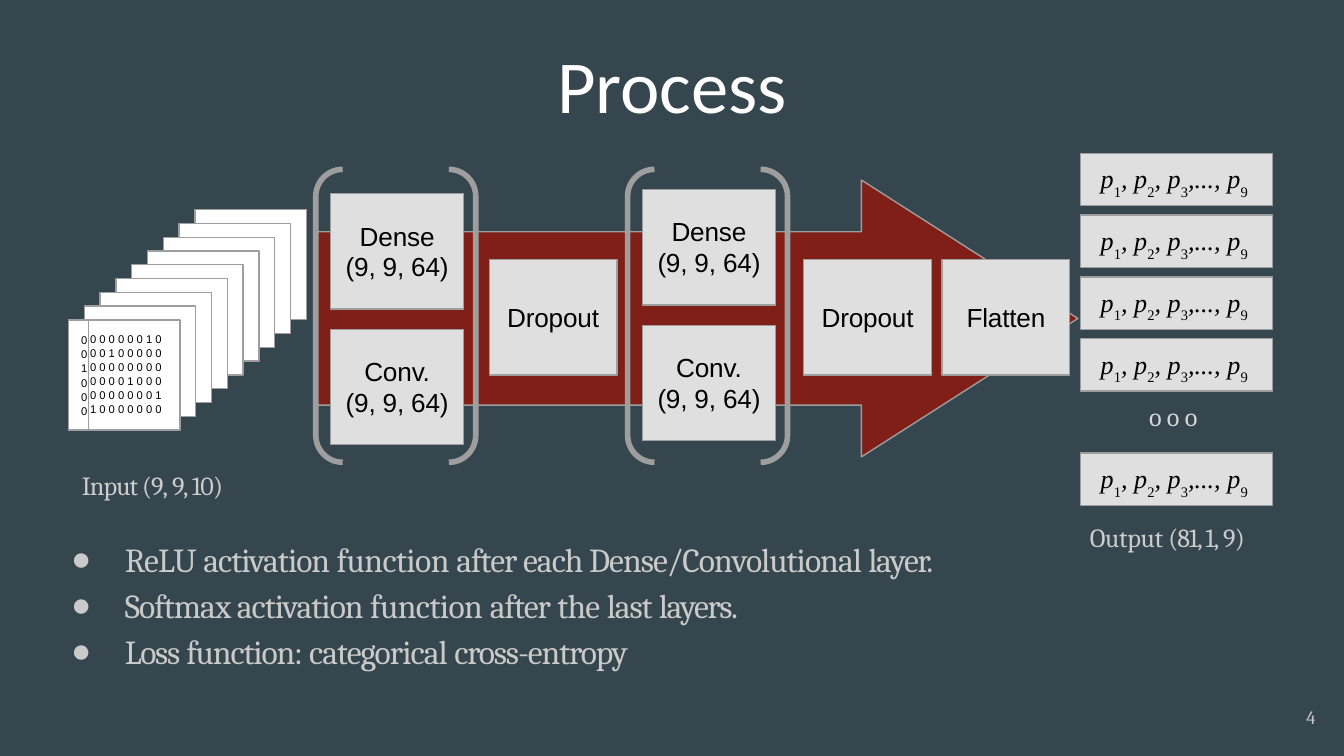
import pptx
import pptx.util
import pptx.dml.color
import pptx.enum.shapes
import pptx.enum.text
import lxml.etree
import pptx.oxml.ns

Inches = pptx.util.Inches
Pt = pptx.util.Pt
RGBColor = pptx.dml.color.RGBColor
Shape = pptx.enum.shapes.MSO_SHAPE
Anchor = pptx.enum.text.MSO_ANCHOR
Align = pptx.enum.text.PP_ALIGN

SLATE = RGBColor(0x36, 0x46, 0x4F)
DARK_RED = RGBColor(0x80, 0x1F, 0x17)
GREY = RGBColor(0x9E, 0x9E, 0x9E)
LIGHT_GREY = RGBColor(0xDF, 0xDF, 0xDF)
DOT_GREY = RGBColor(0xD8, 0xD8, 0xD8)
LABEL_GREY = RGBColor(0xCC, 0xCC, 0xCC)
BODY_GREY = RGBColor(0xCA, 0xCA, 0xCA)
WHITE = RGBColor(0xFF, 0xFF, 0xFF)
BLACK = RGBColor(0, 0, 0)

# A paragraph is a list of runs: (text, letter spacing in points).
BULLETS = [
    [("ReLU ", -0.4), ("activation ", -0.5), ("function ", -0.3),
     ("after each Dense/Convolutional ", -0.5), ("layer.", -0.7)],
    [("Softmax activation ", -0.5), ("function ", -0.3), ("after ", -0.5),
     ("the ", -0.4), ("last ", -0.6), ("layers.", -0.8)],
    [("Loss ", -0.7), ("function: ", -0.6), ("categorical ", -0.5),
     ("cross-entropy", -0.6)],
]
# Labels: runs, left, top, width, colour
LABELS = [
    ([("Input (9, ", -0.5), ("9, ", -0.8), ("10)", -0.5)], 0.61, 3.48, 1.24, LABEL_GREY),
    ([("Output ", -0.2), ("(81, 1, ", -0.6), ("9)", -0.3)], 8.11, 3.87, 1.36, LABEL_GREY),
    ([("o o o", -0.1)], 8.55, 2.97, 0.43, DOT_GREY),
]
FIRST_COLUMN = ["0", "0", "1", "0", "0", "0"]
MATRIX_ROWS = ["0 0 0 0 0 0 1 0", "0 0 1 0 0 0 0 0", "0 0 0 0 0 0 0 0",
               "0 0 0 0 1 0 0 0", "0 0 0 0 0 0 0 1", "1 0 0 0 0 0 0 0"]
# Text and whether it is a subscript
PROBABILITIES = [("p", False), ("1", True), (", p", False), ("2", True),
                 (", p", False), ("3", True), (",..., ", False), ("p", False),
                 ("9", True)]
LAYER_PAIR = [["Dense", "(9, 9, 64)"], ["Conv.", "(9, 9, 64)"]]
PAIR_ORIGINS = [(2.46, 1.44), (4.78, 1.41)]
SINGLE_LAYERS = [("Dropout", 3.64), ("Dropout", 5.98), ("Flatten", 7.01)]

SLIDE_WIDTH = Inches(10)
SLIDE_HEIGHT = SLIDE_WIDTH * 9 // 16
SHEET_COUNT = 9
SHEET_WIDTH, SHEET_HEIGHT = 0.83, 0.82
BACK_SHEET, FRONT_SHEET = (1.45, 1.56), (0.51, 2.38)
LAYER_HEIGHT, LAYER_PITCH = 0.86, 1.01
OUTPUT_TOPS = [1.14 + 0.46 * row for row in range(4)] + [3.37]


def add_shape(slide, kind, box, fill=None, line=GREY, line_width=0.75):
    shape = slide.shapes.add_shape(kind, *map(Inches, box))
    shape.shadow.inherit = False
    if fill is None:
        shape.fill.background()
    else:
        shape.fill.solid()
        shape.fill.fore_color.rgb = fill
    shape.line.color.rgb = line
    shape.line.width = Pt(line_width)
    return shape


def prepare_frame(shape, top=0.0, left=0.0, right=0.0, anchor=Anchor.TOP):
    frame = shape.text_frame
    frame.word_wrap = True
    frame.vertical_anchor = anchor
    frame.margin_left, frame.margin_top = Inches(left), Inches(top)
    frame.margin_right, frame.margin_bottom = Inches(right), 0
    return frame


def add_run(paragraph, text, font, size, color, spacing=0):
    run = paragraph.add_run()
    run.text = text
    run.font.name = font
    run.font.size = Pt(size)
    run.font.color.rgb = color
    if spacing:
        run._r.get_or_add_rPr().set("spc", str(round(spacing * 100)))
    return run


def write(frame, paragraphs, font, size, color, align=Align.LEFT, before=0, line=None):
    for index, runs in enumerate(paragraphs):
        paragraph = frame.paragraphs[0] if index == 0 else frame.add_paragraph()
        paragraph.alignment = align
        paragraph.space_before = Pt(before)
        if line:
            paragraph.line_spacing = Pt(line)
        for text, spacing in runs:
            add_run(paragraph, text, font, size, color, spacing)


def add_text(slide, box, paragraphs, font, size, color, top=0.01, **options):
    frame = prepare_frame(slide.shapes.add_textbox(*map(Inches, box)), top)
    write(frame, paragraphs, font, size, color, **options)
    return frame


def add_bullet(paragraph):
    properties = paragraph._p.get_or_add_pPr()
    properties.set("marL", str(Inches(0.41)))
    properties.set("indent", str(Inches(-0.4)))
    for tag, name, value in (("a:buFont", "typeface", "Arial"), ("a:buChar", "char", "●")):
        lxml.etree.SubElement(properties, pptx.oxml.ns.qn(tag)).set(name, value)


def add_layer(slide, lines, left, top, width):
    box = (left, top, width, LAYER_HEIGHT)
    layer = add_shape(slide, Shape.RECTANGLE, box, LIGHT_GREY)
    write(prepare_frame(layer, anchor=Anchor.MIDDLE), [[(line, -0.1)] for line in lines],
          "Arial", 14, BLACK, align=Align.CENTER, line=16.5)


def add_input_stack(slide):
    for index in range(SHEET_COUNT):
        share = index / (SHEET_COUNT - 1)
        left, top = (back + (front - back) * share
                     for back, front in zip(BACK_SHEET, FRONT_SHEET))
        add_shape(slide, Shape.RECTANGLE, (left, top, SHEET_WIDTH, SHEET_HEIGHT), WHITE)
    left, top = FRONT_SHEET
    column = add_shape(slide, Shape.RECTANGLE, (left, top, 0.15, SHEET_HEIGHT), WHITE)
    write(prepare_frame(column, top=0.1, right=0.01), [[(digit, 0)] for digit in FIRST_COLUMN],
          "Arial", 6, BLACK, align=Align.RIGHT, before=0.4)
    add_text(slide, (left + 0.16, top + 0.08, 0.58, 0.66),
             [[(row, 0)] for row in MATRIX_ROWS], "Arial", 6, BLACK, before=0.4)


def add_output(slide, top):
    output = add_shape(slide, Shape.RECTANGLE, (8.04, top, 1.43, 0.39), LIGHT_GREY)
    paragraph = prepare_frame(output, top=0.07, left=0.15).paragraphs[0]
    paragraph.alignment = Align.LEFT
    paragraph.space_before = Pt(5)
    for text, subscript in PROBABILITIES:
        run = add_run(paragraph, text, "Times New Roman", 13.5 if subscript else 14, BLACK)
        run.font.italic = not subscript
        if subscript:
            run._r.get_or_add_rPr().set("baseline", "-34000")


def main():
    presentation = pptx.Presentation()
    presentation.slide_width, presentation.slide_height = SLIDE_WIDTH, SLIDE_HEIGHT
    slide = presentation.slides.add_slide(presentation.slide_layouts[5])
    slide.background.fill.solid()
    slide.background.fill.fore_color.rgb = SLATE

    title = slide.shapes.title
    title.left, title.top, title.width, title.height = map(Inches, (0, 0.24, 10, 0.77))
    write(prepare_frame(title, top=0.05), [[("Process", 0)]], "Calibri", 40, WHITE,
          align=Align.CENTER)

    arrow = add_shape(slide, Shape.RIGHT_ARROW, (2.35, 1.34, 5.67, 2.06), DARK_RED)
    arrow.adjustments[0] = 1.29 / 2.06
    arrow.adjustments[1] = 1.61 / 2.06

    add_input_stack(slide)
    for left, top in PAIR_ORIGINS:
        for row, lines in enumerate(LAYER_PAIR):
            add_layer(slide, lines, left, top + row * LAYER_PITCH, 0.99)
        for kind, offset in ((Shape.LEFT_BRACKET, -0.11), (Shape.RIGHT_BRACKET, 0.88)):
            bracket = add_shape(slide, kind, (left + offset, 1.26, 0.2, 2.18), line_width=3)
            bracket.adjustments[0] = 1
    for name, left in SINGLE_LAYERS:
        add_layer(slide, [name], left, 1.93, 0.95)
    for top in OUTPUT_TOPS:
        add_output(slide, top)

    for runs, left, top, width, color in LABELS:
        add_text(slide, (left, top, width, 0.26), [runs], "Cambria", 14, color, before=1)
    bullets = add_text(slide, (0.52, 3.95, 7.1, 1.06), BULLETS, "Cambria", 18, BODY_GREY,
                       top=0.06, before=3.1)
    for paragraph in bullets.paragraphs:
        add_bullet(paragraph)
    add_text(slide, (9.72, 5.24, 0.13, 0.2), [[("4", -0.5)]], "Cambria", 10, BODY_GREY)

    presentation.save("out.pptx")


if __name__ == "__main__":
    main()
